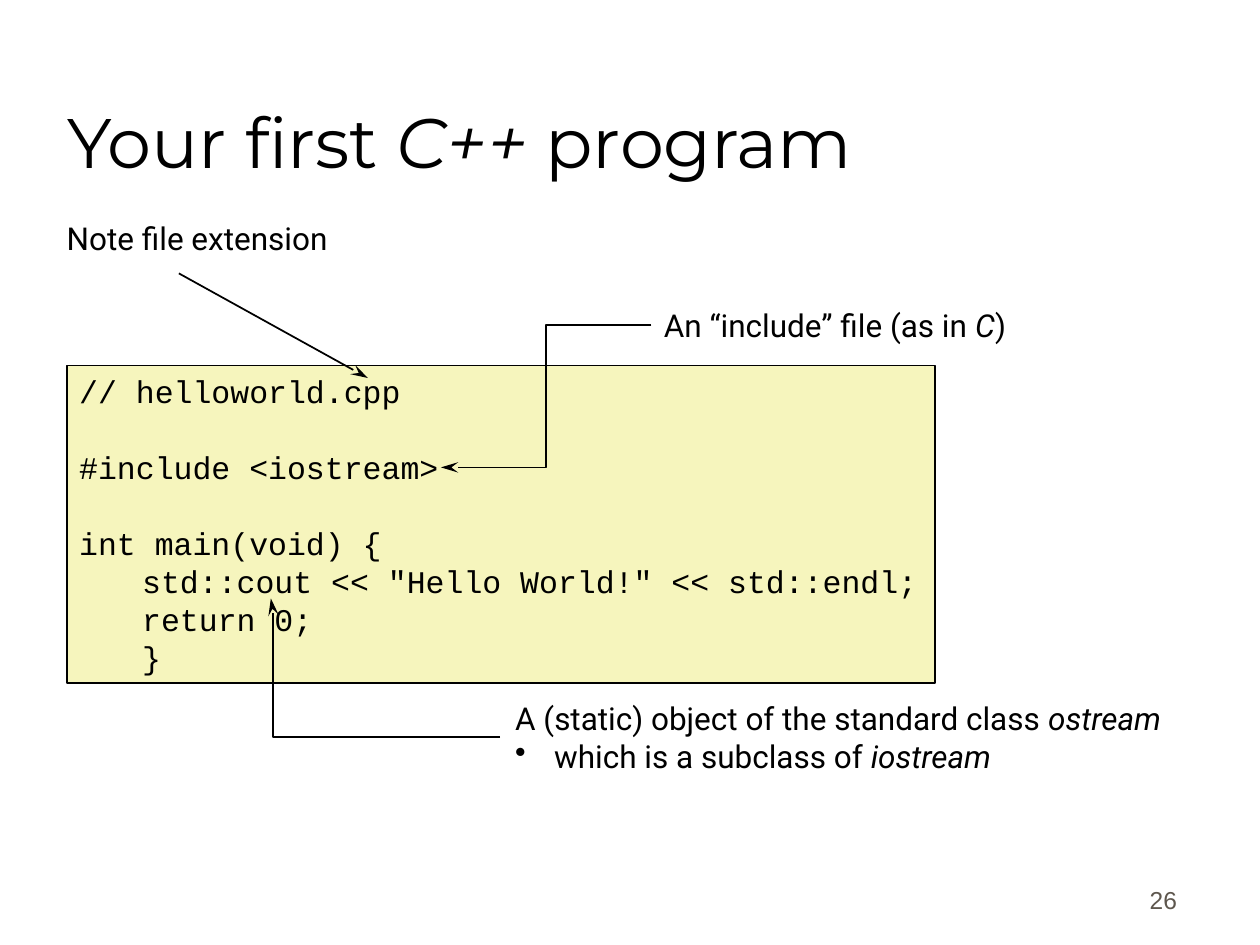
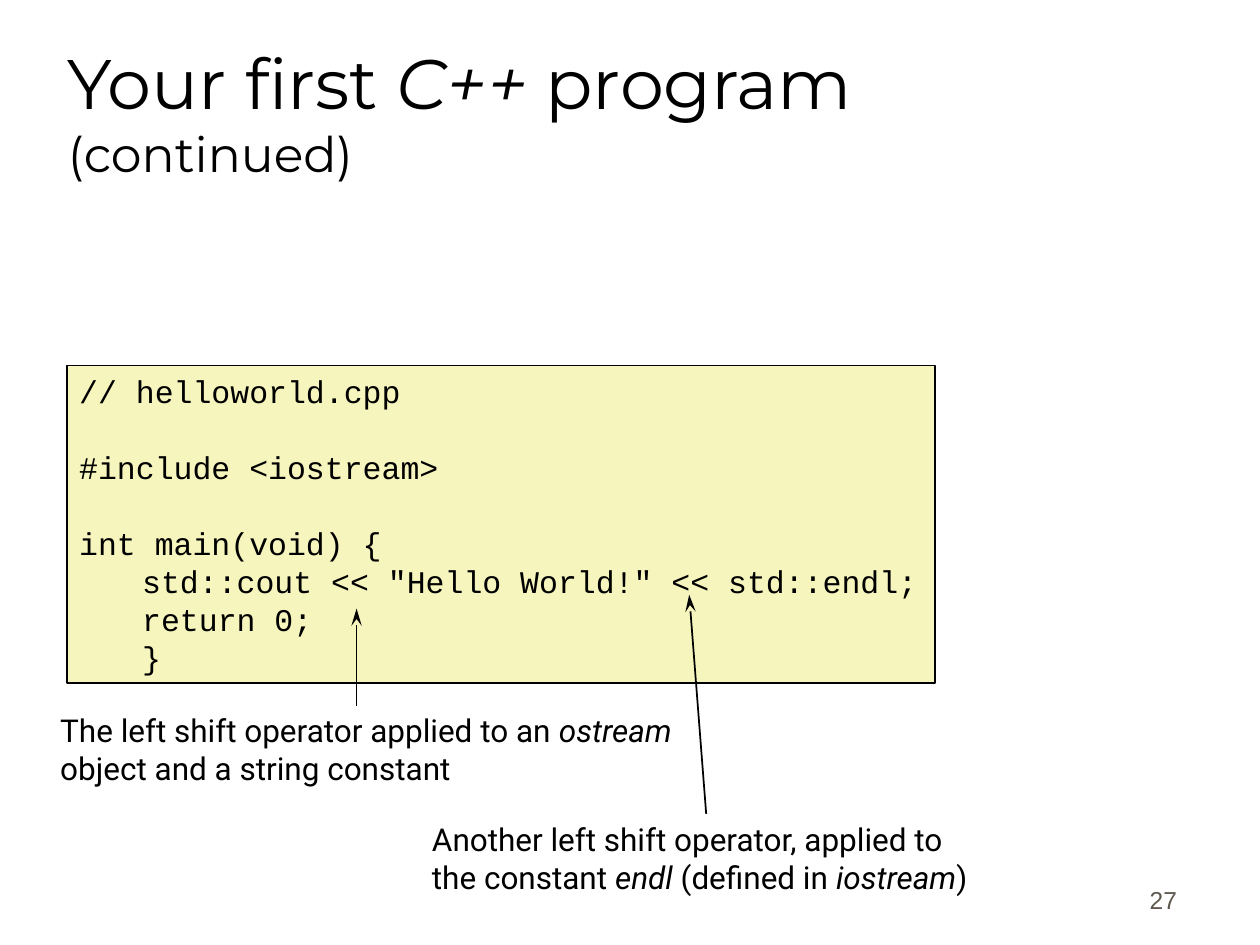
from lxml.etree import SubElement
from pptx import Presentation
from pptx.dml.color import RGBColor
from pptx.enum.shapes import MSO_CONNECTOR, MSO_SHAPE
from pptx.enum.text import MSO_ANCHOR, MSO_AUTO_SIZE, PP_ALIGN
from pptx.oxml.ns import qn
from pptx.util import Inches, Pt

BLACK, CREAM, GREY = "000000", "F6F5BD", "5E574E"
TITLE_FONT, BODY_FONT, CODE_FONT, NUMBER_FONT = "Montserrat", "Roboto", "Courier New", "Arial"
BODY_SIZE = 18
LINE_HEIGHT = Pt(21.7)

TITLE_BOX = (0.44, 0.25, 8.5, 1.25)
CODE_BOX = (0.53, 2.9, 6.89, 2.52)
NUMBER_BOX = (7.36, 6.81, 2.08, 0.5)

CODE_BLOCKS = [
    [("// helloworld.cpp", 0)],
    [("#include <iostream>", 0)],
    [
        ("int main(void) {", 0),
        ("std::cout << ″Hello World!″ << std::endl;", 0.5),
        ("return 0;", 0.5),
        ("}", 0.5),
    ],
]


def color(hex_value):
    return RGBColor.from_string(hex_value)


def inches(values):
    return [Inches(value) for value in values]


def add_run(paragraph, text, font, size, hex_value=BLACK, italic=False):
    run = paragraph.add_run()
    run.text = text
    run.font.name = font
    run.font.size = Pt(size)
    run.font.italic = italic
    run.font.color.rgb = color(hex_value)


def set_indent(paragraph, left, first=0):
    properties = paragraph._p.get_or_add_pPr()
    properties.set("marL", str(Inches(left)))
    properties.set("indent", str(Inches(first)))
    return properties


def add_frame(slide, box, anchor):
    frame = slide.shapes.add_textbox(*inches(box)).text_frame
    frame.word_wrap = True
    frame.vertical_anchor = anchor
    return frame


def fit_to_text(frame):
    frame.word_wrap = False
    frame.auto_size = MSO_AUTO_SIZE.SHAPE_TO_FIT_TEXT


def add_title(slide, continuation=None):
    title = add_frame(slide, TITLE_BOX, MSO_ANCHOR.BOTTOM).paragraphs[0]
    add_run(title, "Your first ", TITLE_FONT, 40)
    add_run(title, "C++", TITLE_FONT, 40, italic=True)
    add_run(title, " program", TITLE_FONT, 40)
    if continuation:
        title.add_line_break()
        add_run(title, continuation, TITLE_FONT, 28)


def add_page_number(slide, number):
    paragraph = add_frame(slide, NUMBER_BOX, MSO_ANCHOR.BOTTOM).paragraphs[0]
    paragraph.alignment = PP_ALIGN.RIGHT
    add_run(paragraph, str(number), NUMBER_FONT, 14, GREY)


def add_code(slide):
    listing = slide.shapes.add_shape(MSO_SHAPE.RECTANGLE, *inches(CODE_BOX))
    listing.shadow.inherit = False
    listing.fill.solid()
    listing.fill.fore_color.rgb = color(CREAM)
    listing.line.color.rgb = color(BLACK)
    listing.line.width = Pt(1)
    frame = listing.text_frame
    frame.vertical_anchor = MSO_ANCHOR.MIDDLE
    fit_to_text(frame)
    for block_index, block in enumerate(CODE_BLOCKS):
        for line_index, (code, indent) in enumerate(block):
            first = block_index == line_index == 0
            paragraph = frame.paragraphs[0] if first else frame.add_paragraph()
            paragraph.alignment = PP_ALIGN.LEFT
            paragraph.line_spacing = LINE_HEIGHT
            if block_index and line_index == 0:
                paragraph.space_before = LINE_HEIGHT
            set_indent(paragraph, indent)
            add_run(paragraph, code, CODE_FONT, BODY_SIZE)


def add_note(slide, box, lines, bullet=None, inset=True):
    note = slide.shapes.add_textbox(*inches(box))
    frame = note.text_frame
    fit_to_text(frame)
    if not inset:
        frame.margin_left = frame.margin_right = frame.margin_top = frame.margin_bottom = 0
    paragraph = frame.paragraphs[0]
    paragraph.line_spacing = LINE_HEIGHT
    for index, line in enumerate(lines):
        if index:
            paragraph.add_line_break()
        add_phrases(paragraph, line)
    if bullet:
        point = frame.add_paragraph()
        point.line_spacing = LINE_HEIGHT
        SubElement(set_indent(point, 0.31, -0.31), qn("a:buChar")).set("char", "•")
        add_phrases(point, bullet)
    return note


def add_phrases(paragraph, phrases):
    for index, phrase in enumerate(phrases):
        add_run(paragraph, phrase, BODY_FONT, BODY_SIZE, italic=index % 2 == 1)


def add_arrow(slide, start, end, kind=MSO_CONNECTOR.STRAIGHT, bend=None):
    arrow = slide.shapes.add_connector(kind, *inches(start + end))
    arrow.line.color.rgb = color(BLACK)
    arrow.line.width = Pt(1)
    head = SubElement(arrow.line._get_or_add_ln(), qn("a:tailEnd"))
    for key, value in (("type", "stealth"), ("w", "med"), ("len", "lg")):
        head.set(key, value)
    properties = arrow._element.spPr
    SubElement(properties, qn("a:effectLst"))
    if bend is not None:
        guide = SubElement(properties.find(".//" + qn("a:avLst")), qn("a:gd"))
        guide.set("name", "adj1")
        guide.set("fmla", f"val {round(bend * 100000)}")
    return arrow


def build_first_program(slide):
    add_title(slide)
    add_code(slide)
    add_note(slide, (5.17, 2.38, 2.99, 0.4), [["An “include” file (as in ", "C", ")"]])
    add_arrow(slide, (5.17, 2.58), (3.5, 3.71), MSO_CONNECTOR.ELBOW, 0.5)
    add_note(
        slide,
        (3.99, 5.5, 5.35, 0.71),
        [["A (static) object of the standard class ", "ostream"]],
        bullet=["which is a subclass of ", "iostream"],
    )
    add_arrow(slide, (3.97, 5.85), (2.15, 4.75), MSO_CONNECTOR.ELBOW, 0.99)
    add_note(slide, (0.53, 1.74, 2.3, 0.3), [["Note file extension"]], inset=False)
    add_arrow(slide, (1.42, 2.17), (2.92, 3))
    add_page_number(slide, 26)


def build_shift_operators(slide):
    add_title(slide, "(continued)")
    add_code(slide)
    add_note(
        slide,
        (0.38, 5.59, 5.23, 0.71),
        [["The left shift operator applied to an ", "ostream"], ["object and a string constant"]],
    )
    add_arrow(slide, (2.83, 5.6), (2.83, 4.83))
    endl_note = add_note(
        slide,
        (3.33, 6.46, 4.55, 0.71),
        [
            ["Another left shift operator, applied to"],
            ["the constant ", "endl", " (defined in ", "iostream", ")"],
        ],
    )
    endl_arrow = add_arrow(slide, (5.61, 6.46), (5.47, 4.72))
    endl_arrow.begin_connect(endl_note, 0)
    add_page_number(slide, 27)


def main():
    deck = Presentation()
    deck.slide_width, deck.slide_height = inches((10, 7.5))
    for build in (build_first_program, build_shift_operators):
        build(deck.slides.add_slide(deck.slide_layouts[6]))
    deck.save("out.pptx")


if __name__ == "__main__":
    main()
